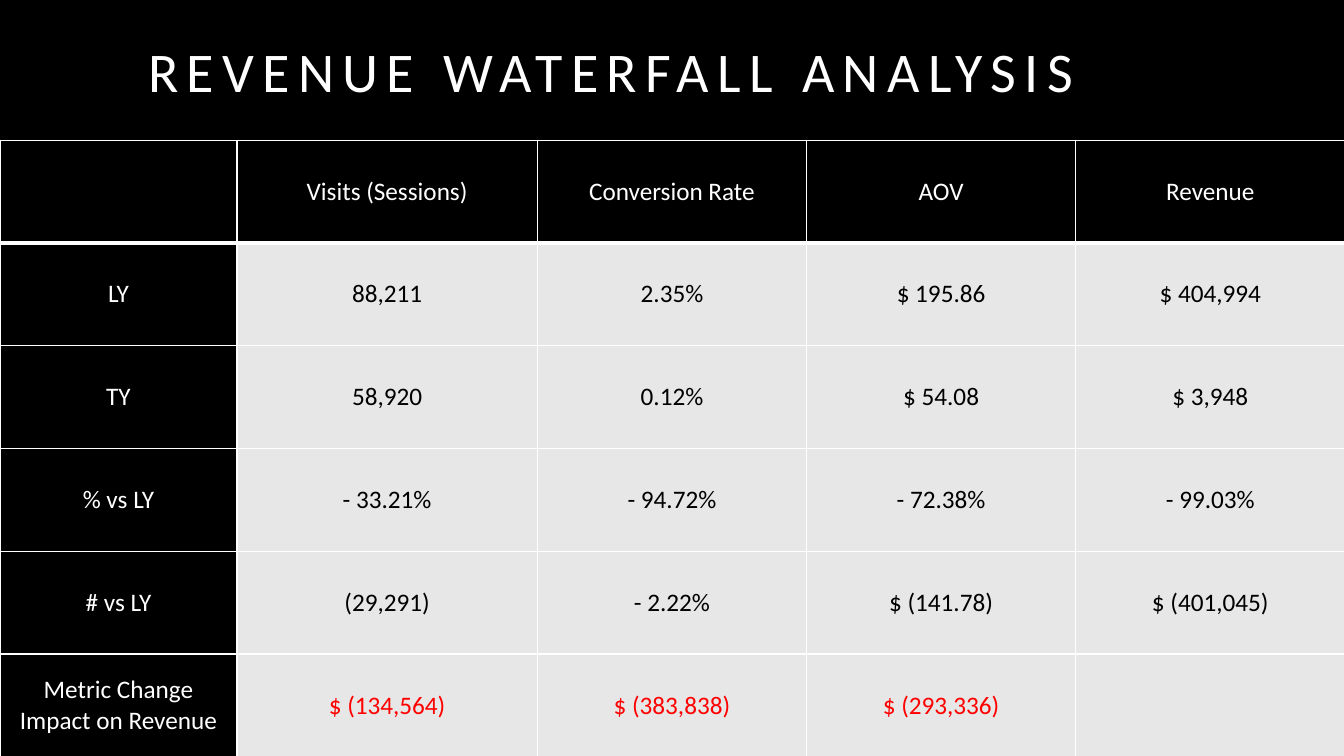
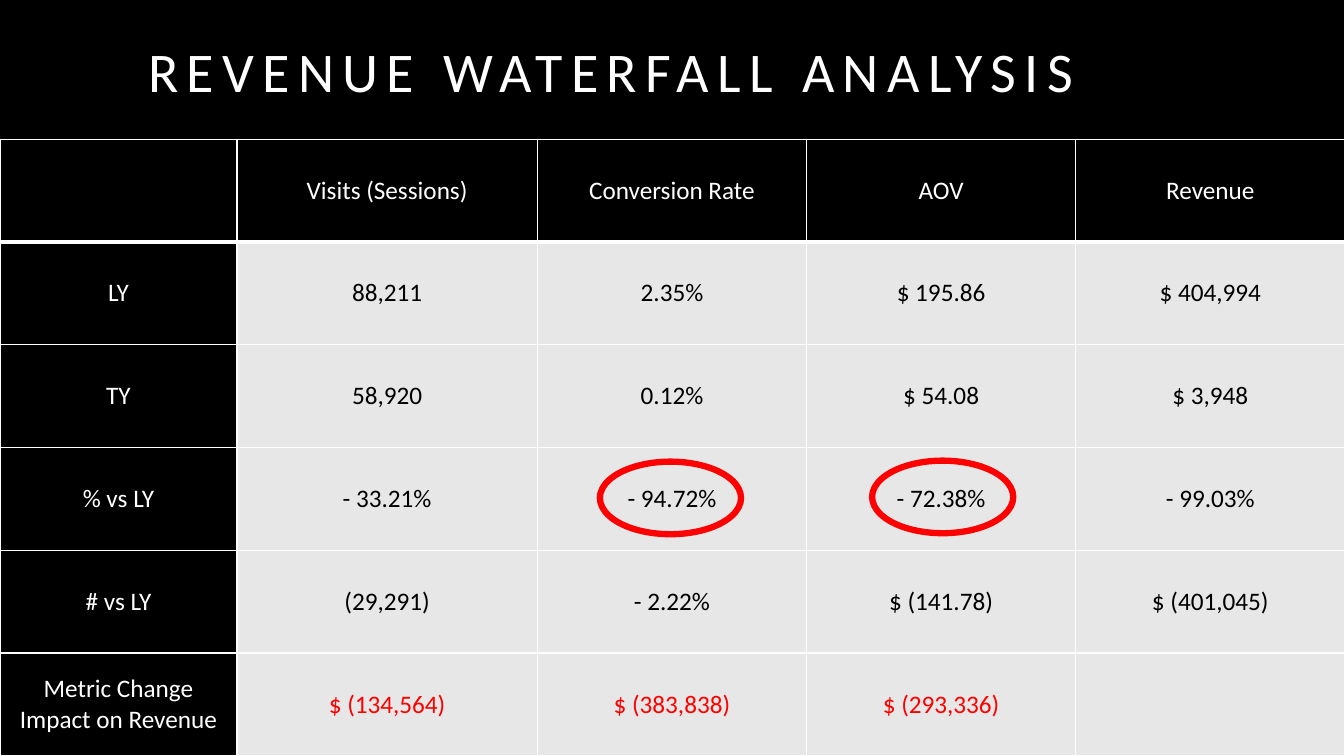
from lxml import etree
from pptx import Presentation
from pptx.dml.color import RGBColor
from pptx.enum import shapes, text
from pptx.oxml import ns
from pptx.util import Inches, Pt

COLORS = {"black": "000000", "white": "FFFFFF", "grey": "E7E7E7", "red": "FF0000"}
FONT = "Calibri"
TITLE = "REVENUE WATERFALL ANALYSIS"

# Table content and grid, in inches
ROWS = [
    ["", "Visits (Sessions)", "Conversion Rate", "AOV", "Revenue"],
    ["LY", "88,211", "2.35%", "$ 195.86", "$ 404,994"],
    ["TY", "58,920", "0.12%", "$ 54.08", "$ 3,948"],
    ["% vs LY", "- 33.21%", "- 94.72%", "- 72.38%", "- 99.03%"],
    ["# vs LY", "(29,291)", "- 2.22%", "$ (141.78)", "$ (401,045)"],
    ["Metric Change\nImpact on Revenue", "$ (134,564)", "$ (383,838)", "$ (293,336)", ""],
]
COL_WIDTHS = [2.35, 2.98, 2.67, 2.67, 2.67]
ROW_HEIGHT = 1.02


def rgb(name):
    return RGBColor.from_string(COLORS[name])


def write_text(tf, content, size=18, color="white", align=None, line_spacing=None, tracking=0):
    """Fill a text frame, one paragraph for each line of content."""
    for i, line in enumerate(content.split("\n")):
        p = tf.add_paragraph() if i else tf.paragraphs[0]
        p.alignment = align
        p.line_spacing = line_spacing
        r = p.add_run()
        r.text = line
        r.font.name, r.font.size, r.font.bold = FONT, Pt(size), False
        r.font.color.rgb = rgb(color)
        if tracking:
            r.font._element.set("spc", str(tracking * 100))


def add_base_slide(prs):
    """Black slide with the shared title."""
    s = prs.slides.add_slide(prs.slide_layouts[6])
    s.background.fill.solid()
    s.background.fill.fore_color.rgb = rgb("black")
    sp = s.shapes.add_textbox(Inches(1.37), Inches(0.3), Inches(10.6), Inches(0.88))
    tf = sp.text_frame
    tf.word_wrap = True
    tf.vertical_anchor = text.MSO_ANCHOR.MIDDLE
    write_text(tf, TITLE, size=40, line_spacing=0.9, tracking=6)
    return s


def set_borders(cell, bottom=1):
    """White cell borders, 1 pt except where the bottom one is heavier."""
    tcPr = cell._tc.get_or_add_tcPr()
    for i, (tag, width) in enumerate([("lnL", 1), ("lnR", 1), ("lnT", 1), ("lnB", bottom)]):
        ln = etree.Element(ns.qn("a:" + tag), w=str(Pt(width)))
        fill = etree.SubElement(ln, ns.qn("a:solidFill"))
        etree.SubElement(fill, ns.qn("a:srgbClr"), val=COLORS["white"])
        tcPr.insert(i, ln)


def add_metrics_table(s, top):
    frame = s.shapes.add_table(len(ROWS), len(COL_WIDTHS), 0, Inches(top),
                               Inches(sum(COL_WIDTHS)), Inches(ROW_HEIGHT * len(ROWS)))
    table = frame.table
    table.horz_banding = False
    for column, width in zip(table.columns, COL_WIDTHS):
        column.width = Inches(width)
    for i, row in enumerate(ROWS):
        table.rows[i].height = Inches(ROW_HEIGHT)
        for j, value in enumerate(row):
            cell = table.cell(i, j)
            is_label = i == 0 or j == 0
            cell.fill.solid()
            cell.fill.fore_color.rgb = rgb("black" if is_label else "grey")
            cell.vertical_anchor = text.MSO_ANCHOR.MIDDLE
            set_borders(cell, bottom=3 if i == 0 else 1)
            if value:
                is_impact = i == len(ROWS) - 1
                color = "white" if is_label else "red" if is_impact else "black"
                write_text(cell.text_frame, value, color=color, align=text.PP_ALIGN.CENTER)


def add_highlight(s, left, top):
    """Red ring around a figure."""
    sp = s.shapes.add_shape(shapes.MSO_SHAPE.OVAL, Inches(left), Inches(top),
                            Inches(1.4), Inches(0.72))
    sp.shadow.inherit = False
    sp.fill.background()
    sp.line.color.rgb = rgb("red")
    sp.line.width = Pt(4.5)


def main():
    prs = Presentation()
    prs.slide_width, prs.slide_height = Inches(13.33), Inches(7.5)

    # Slide 1: all metrics
    s = add_base_slide(prs)
    add_metrics_table(s, 1.39)

    # Slide 2: the largest falls ringed
    s = add_base_slide(prs)
    add_metrics_table(s, 1.38)
    for left, top in [(5.95, 4.58), (8.65, 4.57)]:
        add_highlight(s, left, top)

    prs.save("out.pptx")


if __name__ == "__main__":
    main()
